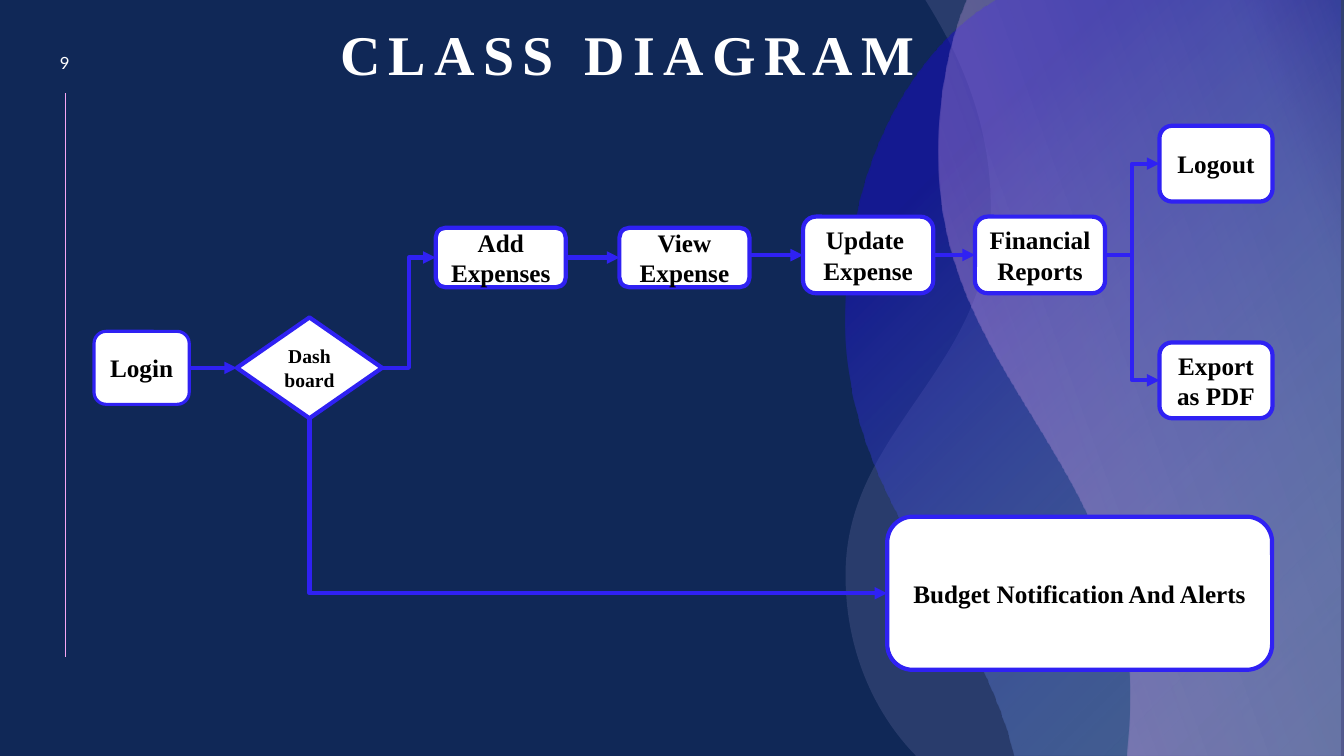
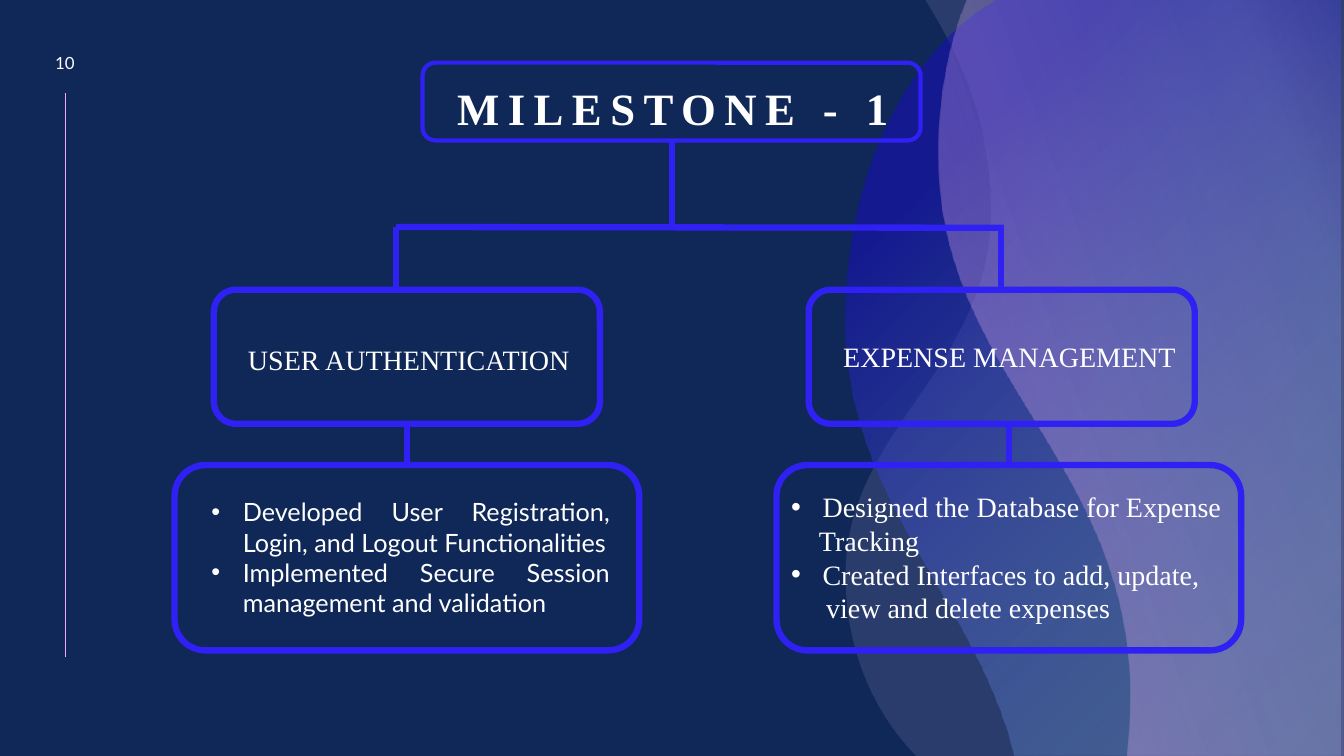
from lxml import etree
from pptx import Presentation
from pptx.dml.color import RGBColor
from pptx.enum import shapes, text
from pptx.oxml import ns
from pptx.util import Cm, Pt

# Shared look
COLORS = {"navy": "102857", "blue": "2F21F3", "white": "FFFFFF", "black": "000000",
          "pink": "F6A6F4", "lilac": "C3B9F2", "sky": "92CDF0", "deep": "180DC2"}
SERIF, SANS = "Times New Roman", "Lato"
WIDTH, HEIGHT = 33.87, 19.05
TOP, LEFT, BOTTOM, RIGHT = range(4)  # connection sites

# Waves: left edge from bottom to top as Bezier curves; stops are position, colour, opacity
WAVES = [
    {"right": 33.87, "bottom": 23.09, "start": (23.06, 19.02), "top": 23.32,
     "curves": [(22.1, 18.03), (21.29, 16.46), (21.31, 14.43),
                (21.34, 10.85), (24.89, 9.3), (24.97, 5.46),
                (25.02, 3.07), (24.13, 1.32), (23.37, 0.08)],
     "stops": [(0, "lilac", 14)], "angle": None},
    {"right": 33.78, "bottom": 25.55, "start": (25.43, 18.57), "top": 25.1,
     "curves": [(24.28, 14.81), (21.34, 12.5), (21.31, 8.18),
                (21.29, 3.99), (23.09, 1.4), (24.71, 0.25)],
     "stops": [(4, "sky", 24), (79, "deep", 52)], "angle": None},
    {"right": 33.87, "bottom": 28.4, "start": (28.45, 18.31), "top": 24.36,
     "curves": [(28.47, 17.98), (28.47, 17.63), (28.47, 17.3),
                (28.37, 11.63), (23.67, 9.35), (23.65, 4.04),
                (23.62, 2.69), (23.83, 1.5), (24.18, 0.46)],
     "stops": [(1, "pink", 38), (84, "lilac", 20), (100, "pink", 3)], "angle": 340},
]

# Class diagram: name -> (left, top, width, height), text size, line width
NODES = {
    "Login": ((2.37, 8.35, 2.4, 1.84), 18, 2.25),
    "Dashboard": ((5.97, 8, 3.66, 2.54), 14, 3),
    "Add Expenses": ((10.98, 5.74, 3.28, 1.5), 18, 3),
    "View Expense": ((15.61, 5.74, 3.28, 1.5), 18, 3),
    "Financial Reports": ((24.57, 5.46, 3.28, 1.93), 18, 3),
    "Update  Expense": ((20.24, 5.46, 3.28, 1.93), 18, 3),
    "Logout": ((29.22, 3.17, 2.85, 1.91), 18, 3),
    "Export as PDF": ((29.22, 8.63, 2.85, 1.91), 18, 3),
    "Budget Notification And Alerts": ((22.36, 13.02, 9.7, 3.86), 18, 3),
}
FLOWS = [("Login", "Dashboard", "STRAIGHT"), ("Dashboard", "Add Expenses", "ELBOW"),
         ("Add Expenses", "View Expense", "STRAIGHT"),
         ("Update  Expense", "Financial Reports", "STRAIGHT"),
         ("Financial Reports", "Logout", "ELBOW"),
         ("Financial Reports", "Export as PDF", "ELBOW")]
VIEW_TO_UPDATE = (18.9, 6.43, 20.24, 6.43)

# Milestone tree; each detail line is (words, left indent, has bullet)
BUS_Y, TRUNK_X = 5.72, 16.94
MILESTONE_BOX = (10.65, 1.58, 12.55, 1.96)
BRANCHES = [
    {"x": 5.39, "drop": 9.98, "head": "USER AUTHENTICATION", "head_box": (6, 8.5, 8.71, 1.11),
     "detail_x": 4.4, "detail_box": (5.08, 12.39, 10.54, 3.33),
     "font": SANS, "size": 18, "align": "JUSTIFY", "wrap": True,
     "lines": [("Developed User Registration, Login, and Logout Functionalities", 0.79, True),
               ("Implemented Secure Session management and validation", 0.79, True)]},
    {"x": 20.38, "drop": 25.22, "head": "EXPENSE MANAGEMENT", "head_box": (21, 8.43, 9, 1.11),
     "detail_x": 19.57, "detail_box": (19.69, 12.22, 11.6, 3.68),
     "font": SERIF, "size": 20, "align": "LEFT", "wrap": False,
     "lines": [("Designed the Database for Expense", 0.79, True), ("Tracking", 0.7, False),
               ("Created Interfaces to add, update,", 0.79, True),
               ("view and delete expenses", 0.88, False)]},
]


def rgb(name):
    return RGBColor.from_string(COLORS[name])


def add_run(p, words, size, color="white", font=SERIF, bold=False):
    r = p.add_run()
    r.text = words
    r.font.size, r.font.name, r.font.bold = Pt(size), font, bold
    r.font.color.rgb = rgb(color)
    return r


def add_text(s, box, wrap=True):
    tf = s.shapes.add_textbox(*map(Cm, box)).text_frame
    tf.word_wrap = wrap
    return tf


def add_box(s, box, width, fill=None, preset="ROUNDED_RECTANGLE"):
    sp = s.shapes.add_shape(shapes.MSO_SHAPE[preset], *map(Cm, box))
    sp.shadow.inherit = False
    if fill:
        sp.fill.solid()
        sp.fill.fore_color.rgb = rgb(fill)
    else:
        sp.fill.background()
    sp.line.color.rgb, sp.line.width = rgb("blue"), Pt(width)
    return sp


def add_line(s, points, width, color="blue", kind="STRAIGHT", arrow=False):
    c = s.shapes.add_connector(shapes.MSO_CONNECTOR[kind], *map(Cm, points))
    c.line.color.rgb, c.line.width = rgb(color), Pt(width)
    spPr = c.element.spPr
    if arrow:
        etree.SubElement(spPr.find(ns.qn("a:ln")), ns.qn("a:tailEnd"), type="triangle")
    etree.SubElement(spPr, ns.qn("a:effectLst"))
    return c


def add_color(parent, color, opacity):
    clr = etree.SubElement(parent, ns.qn("a:srgbClr"), val=COLORS[color])
    etree.SubElement(clr, ns.qn("a:alpha"), val=str(opacity * 1000))


def wave_fill(stops, angle):
    if len(stops) == 1:
        solid = etree.Element(ns.qn("a:solidFill"))
        add_color(solid, *stops[0][1:])
        return solid
    grad = etree.Element(ns.qn("a:gradFill"), rotWithShape="1")
    gs_list = etree.SubElement(grad, ns.qn("a:gsLst"))
    for pos, color, opacity in stops:
        gs = etree.SubElement(gs_list, ns.qn("a:gs"), pos=str(pos * 1000))
        add_color(gs, color, opacity)
    if angle is None:  # radial, centred on the lower right corner
        radial = etree.SubElement(grad, ns.qn("a:path"))
        radial.set("path", "circle")
        etree.SubElement(radial, ns.qn("a:fillToRect"), l="100000", t="100000")
    else:
        etree.SubElement(grad, ns.qn("a:lin"), ang=str(angle * 60000), scaled="0")
    return grad


def add_wave(s, wave):
    corners = [(wave["right"], 0), (wave["right"], HEIGHT), (wave["bottom"], HEIGHT),
               wave["start"]]
    builder = s.shapes.build_freeform(Cm(wave["top"]), 0, scale=1.0)
    builder.add_line_segments([(Cm(x), Cm(y)) for x, y in corners + wave["curves"]], close=True)
    sp = builder.convert_to_shape()
    sp.shadow.inherit = False
    sp.line.fill.background()
    sp.fill.solid()
    spPr = sp.element.spPr
    spPr.replace(spPr.find(ns.qn("a:solidFill")), wave_fill(wave["stops"], wave["angle"]))

    # Every three points after the corners form one cubic curve
    segments = list(spPr.iter(ns.qn("a:lnTo")))[len(corners):]
    for i in range(0, len(segments), 3):
        cubic = etree.Element(ns.qn("a:cubicBezTo"))
        segments[i].addprevious(cubic)
        for segment in segments[i:i + 3]:
            cubic.append(segment[0])
            segment.getparent().remove(segment)
    return sp


def decorate_layout(layout, s):
    """Draw the rail and waves once and move them to the shared layout."""
    layout.background.fill.solid()
    layout.background.fill.fore_color.rgb = rgb("navy")
    decor = [add_line(s, (1.65, 2.35, 1.65, 16.56), 0.5, "pink")]
    decor += [add_wave(s, wave) for wave in WAVES]
    for i, sp in enumerate(decor):
        layout.shapes.element.insert(2 + i, sp.element)


def add_heading(s, words, box, size, number, indent=0.25):
    title = s.shapes.title
    title.left, title.top, title.width, title.height = map(Cm, box)
    tf = title.text_frame
    tf.auto_size, tf.word_wrap = text.MSO_AUTO_SIZE.NONE, True
    tf.vertical_anchor = text.MSO_ANCHOR.BOTTOM
    tf.margin_left = Cm(indent)
    p = tf.paragraphs[0]
    p.alignment, p.line_spacing = text.PP_ALIGN.LEFT, 0.9
    r = add_run(p, words, size, bold=True)
    r.font._element.set("spc", "600")

    tf = add_text(s, (0.91, 1.16, 1.45, 0.86))
    tf.vertical_anchor = text.MSO_ANCHOR.MIDDLE
    tf.paragraphs[0].alignment = text.PP_ALIGN.CENTER
    add_run(tf.paragraphs[0], number, 12, font=SANS)


def build_class_diagram(s):
    add_heading(s, "CLASS DIAGRAM", (8.32, 0.84, 15.49, 1.5), 40, "9")
    nodes = {}
    for name, (box, size, width) in NODES.items():
        preset = "DIAMOND" if name == "Dashboard" else "ROUNDED_RECTANGLE"
        nodes[name] = sp = add_box(s, box, width, "white", preset)
        tf = sp.text_frame
        tf.word_wrap, tf.vertical_anchor = True, text.MSO_ANCHOR.MIDDLE
        tf.paragraphs[0].alignment = text.PP_ALIGN.CENTER
        add_run(tf.paragraphs[0], name, size, "black", bold=True)
    for source, target, kind in FLOWS:
        c = add_line(s, (0, 0, 0, 0), 3, kind=kind, arrow=True)
        c.begin_connect(nodes[source], RIGHT)
        c.end_connect(nodes[target], LEFT)
    add_line(s, VIEW_TO_UPDATE, 3, arrow=True)

    # One-bend arrow: down from the dashboard, then right to the alerts
    c = add_line(s, (0, 0, 0, 0), 3, kind="ELBOW", arrow=True)
    c.begin_connect(nodes["Dashboard"], BOTTOM)
    c.end_connect(nodes["Budget Notification And Alerts"], LEFT)
    across, down = c.width, c.height
    c.left, c.top = c.left + (across - down) // 2, c.top + (down - across) // 2
    c.width, c.height = down, across
    spPr = c.element.spPr
    spPr.find(ns.qn("a:prstGeom")).set("prst", "bentConnector2")
    xfrm = spPr.find(ns.qn("a:xfrm"))
    xfrm.set("rot", str(270 * 60000))
    xfrm.set("flipH", "1")


def add_details(s, branch):
    tf = add_text(s, branch["detail_box"], branch["wrap"])
    for i, (words, indent, bullet) in enumerate(branch["lines"]):
        p = tf.add_paragraph() if i else tf.paragraphs[0]
        p.alignment = text.PP_ALIGN[branch["align"]]
        pPr = p._p.get_or_add_pPr()
        pPr.set("marL", str(Cm(indent)))
        if bullet:
            pPr.set("indent", str(-Cm(indent)))
            etree.SubElement(pPr, ns.qn("a:buFont"), typeface="Arial")
            etree.SubElement(pPr, ns.qn("a:buChar"), char="•")
        add_run(p, words, branch["size"], font=branch["font"])


def build_milestone(s):
    add_heading(s, "MILESTONE - 1", (10.77, 1.83, 12.29, 1.7), 32, "10", indent=0.75)
    head_y, head_w, head_h = 7.3, 9.73, 3.38
    detail_y, detail_w, detail_h = 11.72, 11.71, 4.67
    add_line(s, (TRUNK_X, 3.53, TRUNK_X, BUS_Y), 4.5)
    add_line(s, (BRANCHES[0]["drop"], BUS_Y, BRANCHES[1]["drop"] + 0.08, BUS_Y + 0.02), 4.5)
    for b in BRANCHES:
        add_line(s, (b["drop"], BUS_Y, b["drop"], head_y), 4.5)
        add_box(s, (b["x"], head_y, head_w, head_h), 4.5)
        tf = add_text(s, b["head_box"], wrap=False)
        add_run(tf.paragraphs[0], b["head"], 20)
        mid = b["detail_x"] + detail_w / 2
        add_line(s, (mid, head_y + head_h, mid, detail_y), 4.5)
        add_box(s, (b["detail_x"], detail_y, detail_w, detail_h), 4.5)
        add_details(s, b)
    add_box(s, MILESTONE_BOX, 3)


def main():
    prs = Presentation()
    prs.slide_width, prs.slide_height = Cm(WIDTH), Cm(HEIGHT)
    layout = prs.slide_layouts.get_by_name("Title Only")
    for i, build in enumerate((build_class_diagram, build_milestone)):
        s = prs.slides.add_slide(layout)
        if i == 0:
            decorate_layout(layout, s)
        build(s)
    prs.save("out.pptx")


if __name__ == "__main__":
    main()
